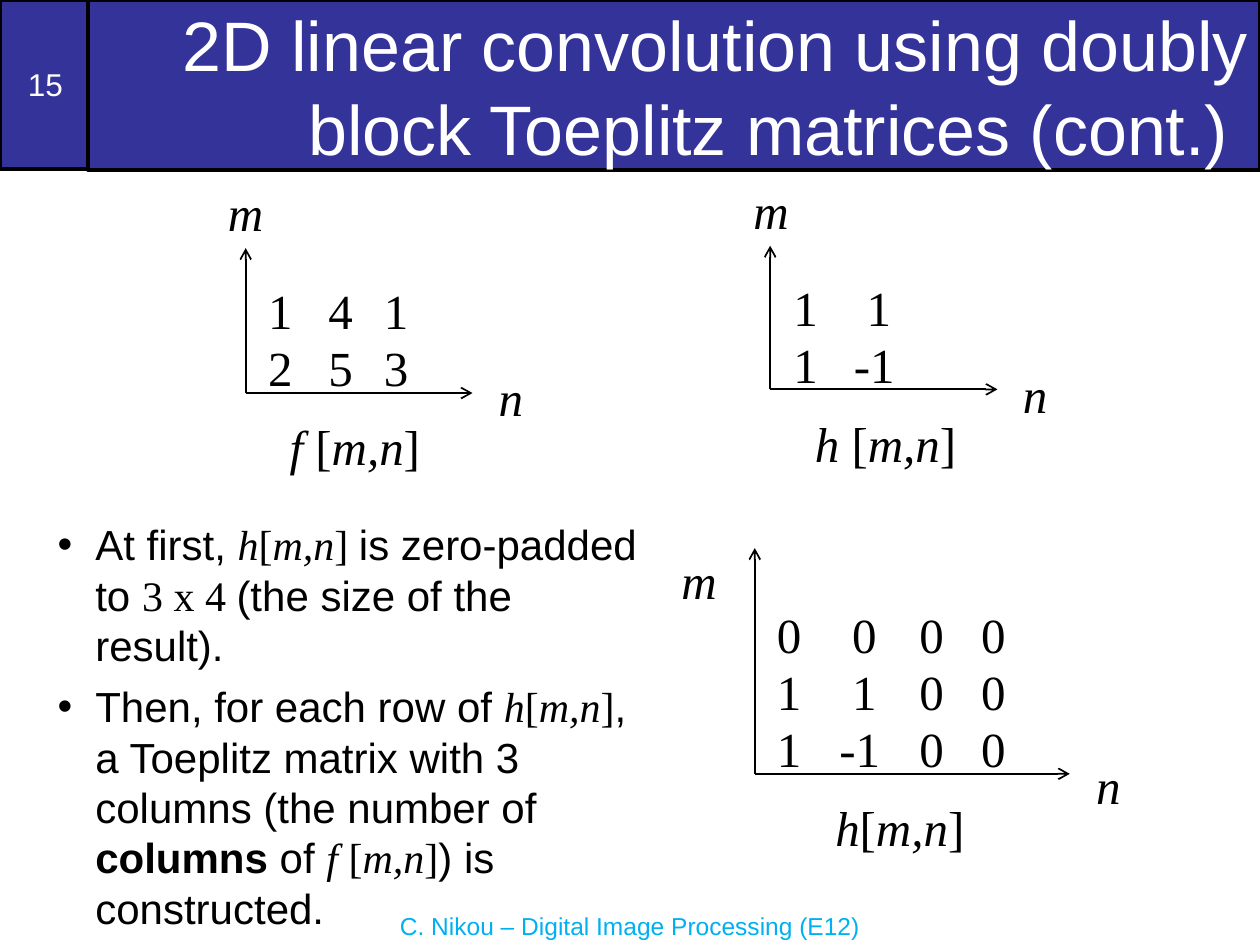
"""Build a slide on 2D convolution with doubly block Toeplitz matrices."""
from lxml import etree
from pptx import Presentation
from pptx.dml.color import RGBColor
from pptx.enum.shapes import MSO_CONNECTOR, MSO_SHAPE
from pptx.enum.text import MSO_ANCHOR, PP_ALIGN
from pptx.oxml.ns import qn
from pptx.util import Pt

RECTANGLE = MSO_SHAPE.RECTANGLE
STRAIGHT = MSO_CONNECTOR.STRAIGHT
MIDDLE = MSO_ANCHOR.MIDDLE
LEFT, CENTER, RIGHT = PP_ALIGN.LEFT, PP_ALIGN.CENTER, PP_ALIGN.RIGHT
WHITE = RGBColor(0xFF, 0xFF, 0xFF)
BLACK = RGBColor(0, 0, 0)
INDIGO = RGBColor(0x33, 0x33, 0x99)
SKY = RGBColor(0x00, 0xB0, 0xF0)
SANS, SERIF = "Arial", "Times New Roman"
MATH_HEIGHT, LABEL_WIDTH, ROW_PITCH = 41, 29, 32.7


def add_spans(para, spans, size, color):
    for text, font, style in spans:
        span = para.add_run()
        span.text = text
        span.font.name = font
        span.font.size = Pt(size)
        span.font.color.rgb = color
        span.font.italic = style == "italic"
        span.font.bold = style == "bold"


def add_text(shapes, left, top, width, height, spans, size=28, color=BLACK, align=LEFT):
    box = shapes.add_textbox(Pt(left), Pt(top), Pt(width), Pt(height))
    box.text_frame.word_wrap = True
    para = box.text_frame.paragraphs[0]
    para.alignment = align
    add_spans(para, spans, size, color)


deck = Presentation()
deck.slide_width, deck.slide_height = Pt(720), Pt(540)
page = deck.slides.add_slide(deck.slide_layouts[6])

indices = [("[", SERIF, ""), ("m,n", SERIF, "italic"), ("]", SERIF, "")]

headers = [
    (0, 51.8, 96.5, "15", 18, CENTER),
    (50.4, 669.6, 97.2,
     "2D linear convolution using doubly block Toeplitz matrices (cont.) ", 40, RIGHT),
]
for left, width, height, text, size, align in headers:
    box = page.shapes.add_shape(RECTANGLE, Pt(left), Pt(0), Pt(width), Pt(height))
    box.shadow.inherit = False
    box.fill.solid()
    box.fill.fore_color.rgb = INDIGO
    box.line.color.rgb = BLACK
    box.line.width = Pt(2)
    box.text_frame.word_wrap = True
    box.text_frame.vertical_anchor = MIDDLE
    para = box.text_frame.paragraphs[0]
    para.alignment = align
    add_spans(para, [(text, SANS, "")], size, WHITE)

add_text(page.shapes, 0, 517, 720, 24.5,
         [("C. Nikou – Digital Image Processing (E12)", SANS, "")], 14, SKY, CENTER)

bullets = [
    [("At first, ", SANS, ""), ("h", SERIF, "italic"), *indices, (" ", SERIF, ""),
     ("is zero-padded to ", SANS, ""), ("3 x 4 ", SERIF, ""),
     ("(the size of the result).", SANS, "")],
    [("Then, for each row of ", SANS, ""), ("h", SERIF, "italic"), *indices,
     (", a Toeplitz matrix with 3 columns (the number of ", SANS, ""),
     ("columns", SANS, "bold"), (" of ", SANS, ""), ("f ", SERIF, "italic"), *indices,
     (") is constructed.", SANS, "")],
]
body = page.shapes.add_textbox(Pt(19.4), Pt(293), Pt(353.5), Pt(244))
body.text_frame.word_wrap = True
for number, spans in enumerate(bullets):
    para = body.text_frame.add_paragraph() if number else body.text_frame.paragraphs[0]
    properties = para._p.get_or_add_pPr()
    properties.set("marL", str(Pt(28)))
    properties.set("indent", str(Pt(-21.6)))
    etree.SubElement(properties, qn("a:buFont"), typeface=SANS)
    etree.SubElement(properties, qn("a:buChar"), char="•")
    para.space_after = Pt(6)
    add_spans(para, spans, 24, BLACK)

# name, origin, axis tips, m label, n label, caption left, column centres, rows
plots = [
    ("h", (431.3, 442.2), (611.3, 313.2), (382.3, 311), (619.2, 428.4), 470.2,
     [451.4, 494.3, 532.8, 568.1],
     [["0", "0", "0", "0"], ["1", "1", "0", "0"], ["1", "-1", "0", "0"]]),
    ("f ", (140.4, 224.6), (270, 141.8), (123.1, 100.8), (277.9, 206.6), 158.4,
     [160.6, 195.1, 226.8], [["1", "4", "1"], ["2", "5", "3"]]),
    ("h ", (440.1, 222.5), (570, 140.4), (423.4, 99.4), (577.4, 204.5), 458.6,
     [460.8, 502.6], [["1", "1"], ["1", "-1"]]),
]
for name, origin, tips, m_place, n_place, caption_left, centers, rows in plots:
    plot = page.shapes.add_group_shape().shapes
    x, y = origin
    for tip_x, tip_y in [(tips[0], y), (x, tips[1])]:
        axis = plot.add_connector(STRAIGHT, Pt(x), Pt(y), Pt(tip_x), Pt(tip_y))
        axis.line.color.rgb = BLACK
        axis.line.width = Pt(1)
        etree.SubElement(axis.line._get_or_add_ln(), qn("a:tailEnd"), type="arrow")
        etree.SubElement(axis._element.spPr, qn("a:effectLst"))
    add_text(plot, *m_place, 38, MATH_HEIGHT, [("m", SERIF, "italic")])
    add_text(plot, *n_place, LABEL_WIDTH, MATH_HEIGHT, [("n", SERIF, "italic")])
    add_text(plot, caption_left, y + 10.1, 110, MATH_HEIGHT,
             [(name, SERIF, "italic"), *indices])
    for row, values in enumerate(rows):
        top = y - 35 - ROW_PITCH * (len(rows) - 1 - row)
        for center, value in zip(centers, values):
            width = LABEL_WIDTH if len(value) == 1 else 43.5
            add_text(plot, center - width / 2, top, width, MATH_HEIGHT,
                     [(value, SERIF, "")])

deck.save("out.pptx")
